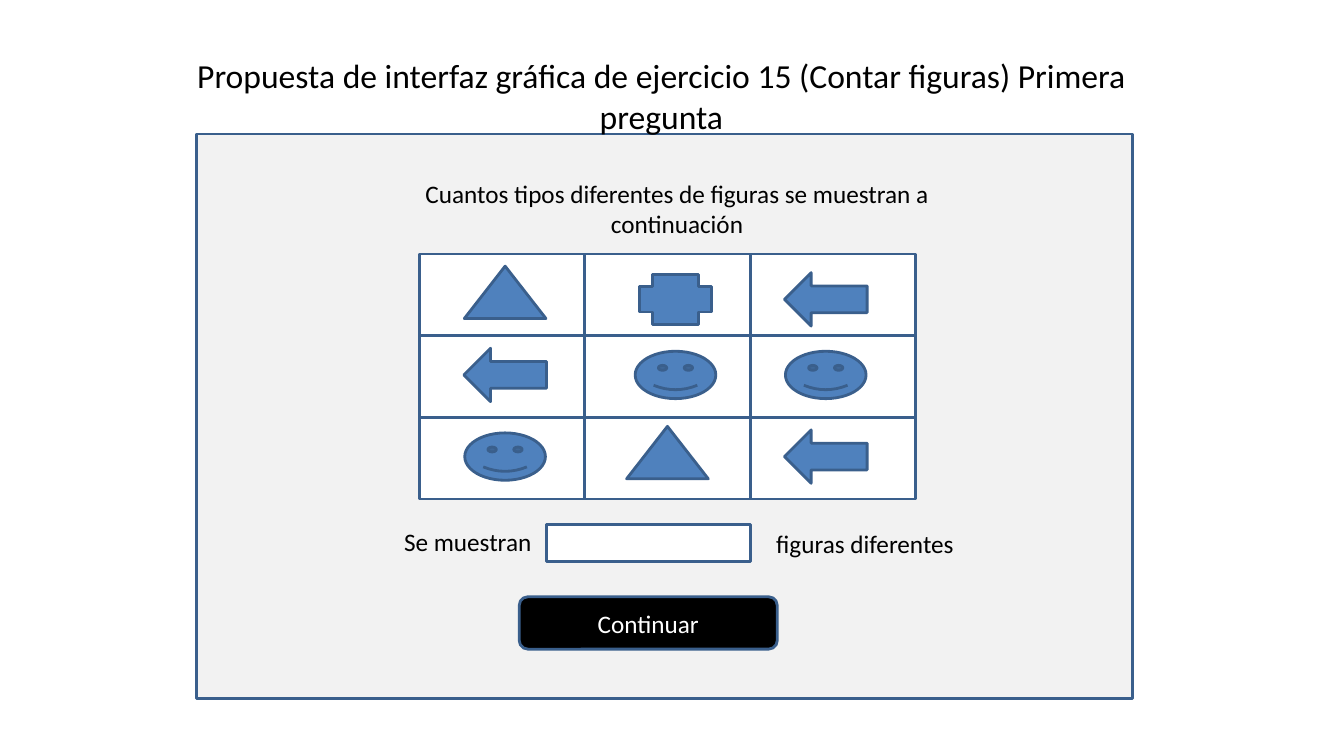
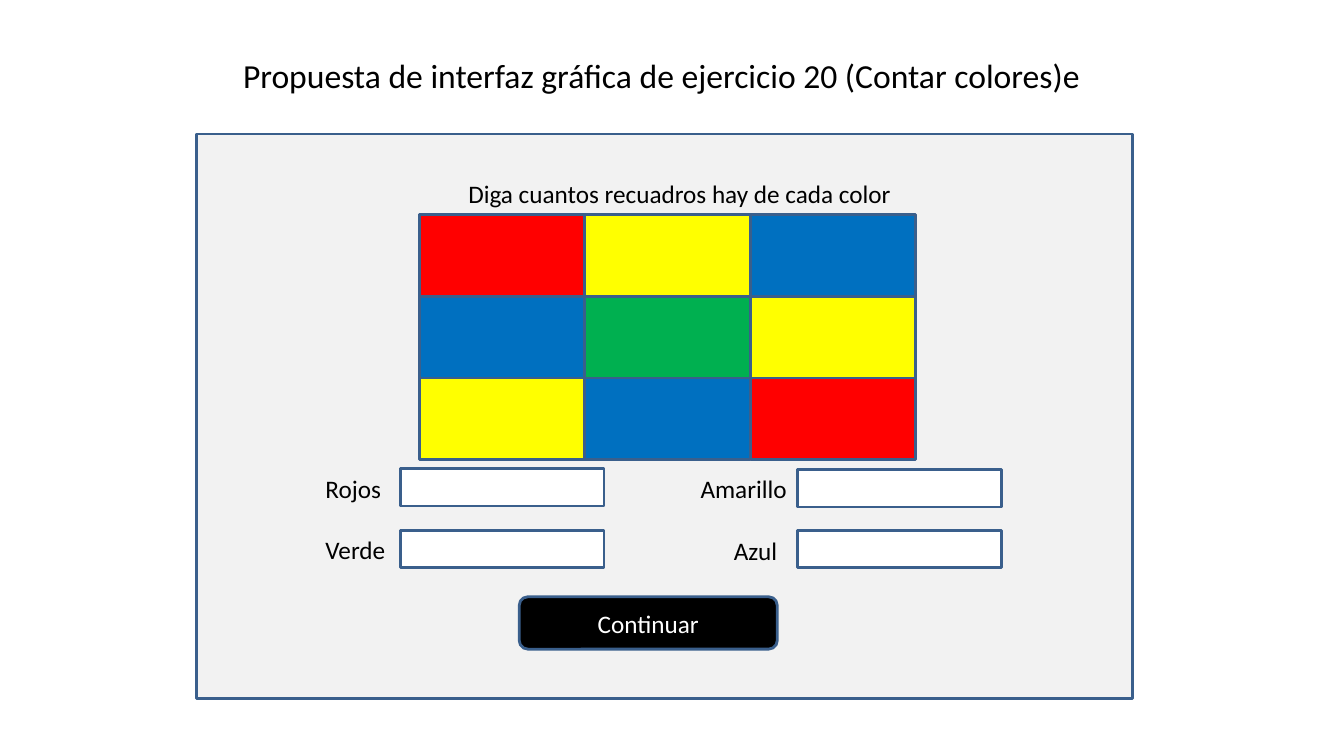
"""Builds two mock-up screens of counting exercises."""
from pptx import Presentation
from pptx import util as u
from pptx.dml.color import RGBColor
from pptx.enum import shapes, text

FONT = "Calibri"
OUTLINE, PANEL, FIGURE = "3A5F8C", "F2F2F2", "4F81BD"
BLACK, WHITE = "000000", "FFFFFF"
RED, YELLOW, BLUE, GREEN = "FF0000", "FFFF00", "0070C0", "00B050"

CELL_WIDTH, CELL_HEIGHT, GRID_LEFT = 1.64, 0.81, 4.16
FIELD_SIZE = (2.02, 0.37)
FIGURE_COLUMNS, FIGURE_ROWS = (5.01, 6.7, 8.19), (2.97, 3.72, 4.53)

KIND = shapes.MSO_SHAPE
FIGURE_SIZES = {
    "triangle": (KIND.ISOSCELES_TRIANGLE, 0.81, 0.52),
    "cross": (KIND.CROSS, 0.71, 0.5),
    "arrow": (KIND.LEFT_ARROW, 0.82, 0.53),
    "smiley": (KIND.SMILEY_FACE, 0.8, 0.47),
}
FIGURES = [
    ["triangle", "cross", "arrow"],
    ["arrow", "smiley", "smiley"],
    ["smiley", "triangle", "arrow"],
]
NUDGES = {(0, 0): (0, -0.07), (2, 1): (-0.08, -0.04)}

SCREENS = [
    {
        "title": "Propuesta de interfaz gráfica de ejercicio 15 (Contar figuras) Primera pregunta",
        "question": ("Cuantos tipos diferentes de figuras se muestran a continuación", 3.83, 1.72, 5.77, 0.7),
        "grid_top": 2.52,
        "cells": [[WHITE] * 3] * 3,
        "figures": FIGURES,
        "labels": [("Se muestran", 3.91, 5.17), ("figuras diferentes", 7.6, 5.19)],
        "fields": [(5.42, 5.2)],
    },
    {
        "title": "Propuesta de interfaz gráfica de ejercicio 20 (Contar colores)e",
        "question": ("Diga cuantos recuadros hay de cada color", 3.22, 1.72, 7.04, 0.4),
        "grid_top": 2.13,
        "cells": [[RED, YELLOW, BLUE], [BLUE, GREEN, YELLOW], [YELLOW, BLUE, RED]],
        "figures": [],
        "labels": [("Rojos", 3.13, 4.65), ("Verde", 3.13, 5.25),
                   ("Amarillo", 6.85, 4.65), ("Azul", 7.18, 5.26)],
        "fields": [(3.97, 4.65), (3.97, 5.26), (7.91, 4.66), (7.91, 5.26)],
    },
]


def color(value):
    return RGBColor.from_string(value)


def write(shape, words, size=18, ink=BLACK, align=text.PP_ALIGN.CENTER):
    frame = shape.text_frame
    frame.word_wrap = True
    frame.text = words
    paragraph = frame.paragraphs[0]
    paragraph.alignment = align
    font = paragraph.runs[0].font
    font.name, font.size = FONT, u.Pt(size)
    font.color.rgb = color(ink)


def add_text(slide, words, left, top, width, height, **style):
    box = slide.shapes.add_textbox(*map(u.Inches, (left, top, width, height)))
    write(box, words, **style)


def add_shape(slide, kind, left, top, width, height, fill):
    shape = slide.shapes.add_shape(kind, *map(u.Inches, (left, top, width, height)))
    shape.shadow.inherit = False
    shape.fill.solid()
    shape.fill.fore_color.rgb = color(fill)
    shape.line.color.rgb = color(OUTLINE)
    shape.line.width = u.Pt(2)
    return shape


def add_grid(slide, top, cells):
    for row, fills in enumerate(cells):
        for column, fill in enumerate(fills):
            add_shape(slide, KIND.RECTANGLE, GRID_LEFT + column * CELL_WIDTH,
                      top + row * CELL_HEIGHT, CELL_WIDTH, CELL_HEIGHT, fill)


def add_figures(slide, figures):
    for row, names in enumerate(figures):
        for column, name in enumerate(names):
            kind, width, height = FIGURE_SIZES[name]
            shift_x, shift_y = NUDGES.get((row, column), (0, 0))
            add_shape(slide, kind, FIGURE_COLUMNS[column] + shift_x - width / 2,
                      FIGURE_ROWS[row] + shift_y - height / 2, width, height, FIGURE)


def add_screen(presentation, screen):
    slide = presentation.slides.add_slide(presentation.slide_layouts[6])
    add_shape(slide, KIND.RECTANGLE, 1.95, 1.33, 9.28, 5.6, PANEL)
    add_text(slide, *screen["question"])
    add_text(slide, screen["title"], 1.67, 0.5, 9.78, 0.9, size=24)
    add_grid(slide, screen["grid_top"], screen["cells"])
    add_figures(slide, screen["figures"])
    for words, left, top in screen["labels"]:
        add_text(slide, words, left, top, 2.3, 0.4, align=text.PP_ALIGN.LEFT)
    for left, top in screen["fields"]:
        add_shape(slide, KIND.RECTANGLE, left, top, *FIELD_SIZE, WHITE)
    button = add_shape(slide, KIND.ROUNDED_RECTANGLE, 5.15, 5.92, 2.56, 0.52, BLACK)
    write(button, "Continuar", ink=WHITE)


def main():
    presentation = Presentation()
    presentation.slide_width = u.Inches(13.33)
    presentation.slide_height = u.Inches(7.5)
    for screen in SCREENS:
        add_screen(presentation, screen)
    presentation.save("out.pptx")


if __name__ == "__main__":
    main()
